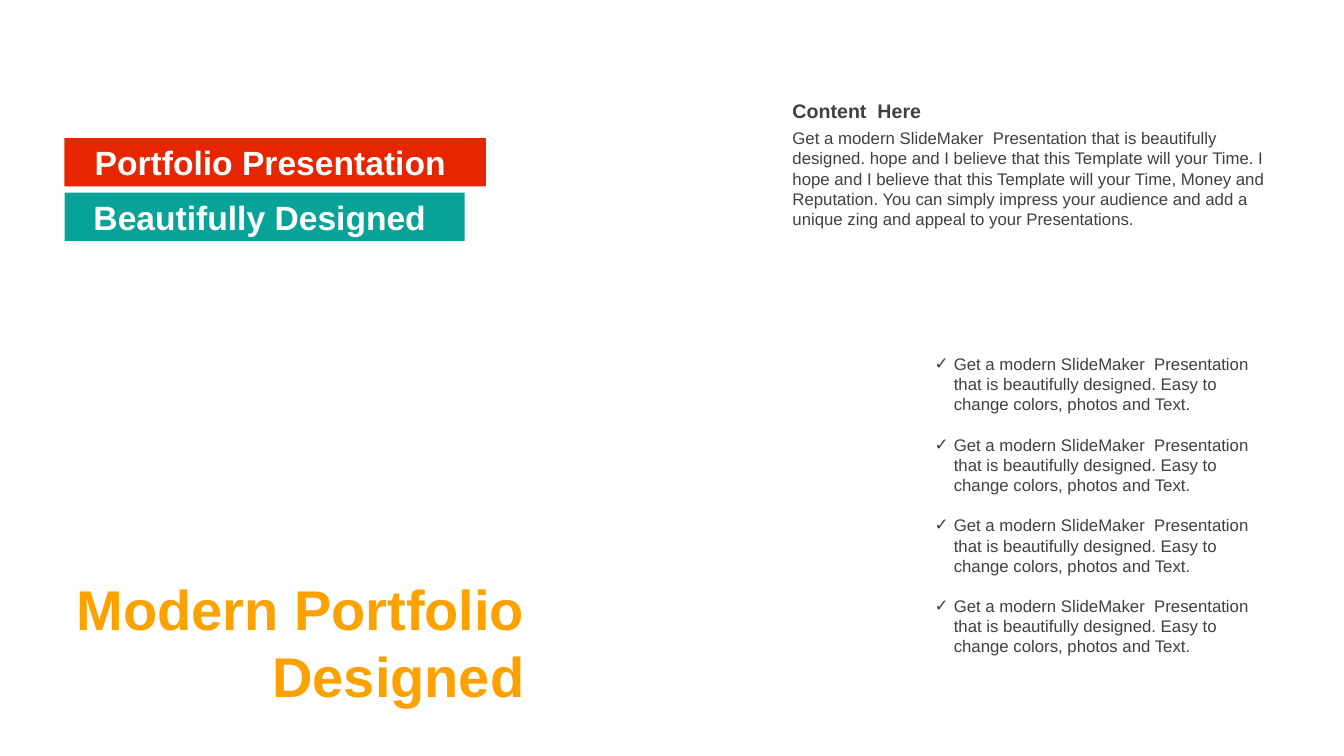
import pptx
import pptx.util
import pptx.dml.color
import pptx.enum.shapes
import pptx.enum.text
import pptx.oxml.ns
import lxml.etree

COLOURS = {
    "red": "E62601",
    "teal": "07A398",
    "orange": "FBA200",
    "text": "404040",
    "white": "FFFFFF",
}
ALIGN = pptx.enum.text.PP_ALIGN
ANCHOR = pptx.enum.text.MSO_ANCHOR


class PortfolioSlide:
    """Style and element builders for one slide, with lengths in percent of its size."""

    font = "Arial"
    line_height = 1.2
    bullet_indent = pptx.util.Inches(0.19)

    def __init__(self, presentation):
        self.width = presentation.slide_width
        self.height = presentation.slide_height
        self.slide = presentation.slides.add_slide(presentation.slide_layouts[1])

    def box(self, left, top, width, height):
        return (
            round(left * self.width / 100),
            round(top * self.height / 100),
            round(width * self.width / 100),
            round(height * self.height / 100),
        )

    def move(self, shape, area):
        shape.left, shape.top, shape.width, shape.height = self.box(*area)

    def fill_text(self, shape, text, size, colour, bold=False, align=ALIGN.LEFT,
                  anchor=ANCHOR.TOP, inset=0, before=0, after=0):
        frame = shape.text_frame
        frame.text = text
        frame.word_wrap = True
        frame.auto_size = pptx.enum.text.MSO_AUTO_SIZE.NONE
        frame.vertical_anchor = anchor
        frame.margin_left = pptx.util.Inches(inset)
        frame.margin_right = pptx.util.Inches(0.1)
        frame.margin_top = frame.margin_bottom = pptx.util.Inches(0.05)
        for paragraph in frame.paragraphs:
            paragraph.alignment = align
            paragraph.line_spacing = pptx.util.Pt(size * self.line_height)
            paragraph.space_before = pptx.util.Pt(before)
            paragraph.space_after = pptx.util.Pt(after)
            for run in paragraph.runs:
                run.font.name = self.font
                run.font.size = pptx.util.Pt(size)
                run.font.bold = bold
                run.font.color.rgb = pptx.dml.color.RGBColor.from_string(COLOURS[colour])

    def title(self, text, area):
        shape = self.slide.shapes.title
        self.move(shape, area)
        self.fill_text(shape, text, 40, "orange", bold=True, align=ALIGN.RIGHT, inset=0.1)

    def banner(self, text, colour, area):
        shape = self.slide.shapes.add_shape(
            pptx.enum.shapes.MSO_SHAPE.RECTANGLE, *self.box(*area))
        shape.shadow.inherit = False
        shape.fill.solid()
        shape.fill.fore_color.rgb = pptx.dml.color.RGBColor.from_string(COLOURS[colour])
        shape.line.fill.background()
        self.fill_text(shape, text, 24, "white", bold=True, align=ALIGN.CENTER,
                       anchor=ANCHOR.MIDDLE, before=4.8)

    def text(self, text, area, size=12, **style):
        shape = self.slide.shapes.add_textbox(*self.box(*area))
        self.fill_text(shape, text, size, "text", **style)

    def checklist(self, items, area):
        shape = self.slide.placeholders[1]
        self.move(shape, area)
        self.fill_text(shape, "\n".join(items), 12, "text", after=12 * self.line_height)
        for paragraph in shape.text_frame.paragraphs:
            properties = paragraph._p.get_or_add_pPr()
            properties.set("marL", str(self.bullet_indent))
            properties.set("indent", str(-self.bullet_indent))
            for tag, name, value in (("buFont", "typeface", self.font),
                                     ("buChar", "char", "✓")):
                bullet = lxml.etree.SubElement(properties, pptx.oxml.ns.qn("a:" + tag))
                bullet.set(name, value)


def main():
    presentation = pptx.Presentation()
    presentation.slide_width = pptx.util.Inches(13.33)
    presentation.slide_height = pptx.util.Inches(7.5)
    portfolio = PortfolioSlide(presentation)

    portfolio.banner("Portfolio Presentation", "red", (4.8, 18.27, 31.36, 6.4))
    portfolio.banner("Beautifully Designed", "teal", (4.8, 25.47, 29.78, 6.4))
    portfolio.title("Modern Portfolio Designed", (3.68, 75.33, 36.08, 19.33))
    portfolio.text("Content  Here", (58.96, 12.4, 36.23, 4.53), size=14,
                   bold=True, anchor=ANCHOR.MIDDLE)
    portfolio.text(
        "Get a modern SlideMaker  Presentation that is beautifully designed. "
        "hope and I believe that this Template will your Time. I hope and I believe "
        "that this Template will your Time, Money and Reputation. You can simply "
        "impress your audience and add a unique zing and appeal to your Presentations.",
        (58.96, 16.27, 36.23, 14.8))
    benefit = ("Get a modern SlideMaker  Presentation that is beautifully designed. "
               "Easy to change colors, photos and Text.")
    portfolio.checklist([benefit] * 4, (69.54, 46.13, 25.66, 41.73))

    presentation.save("out.pptx")


if __name__ == "__main__":
    main()
